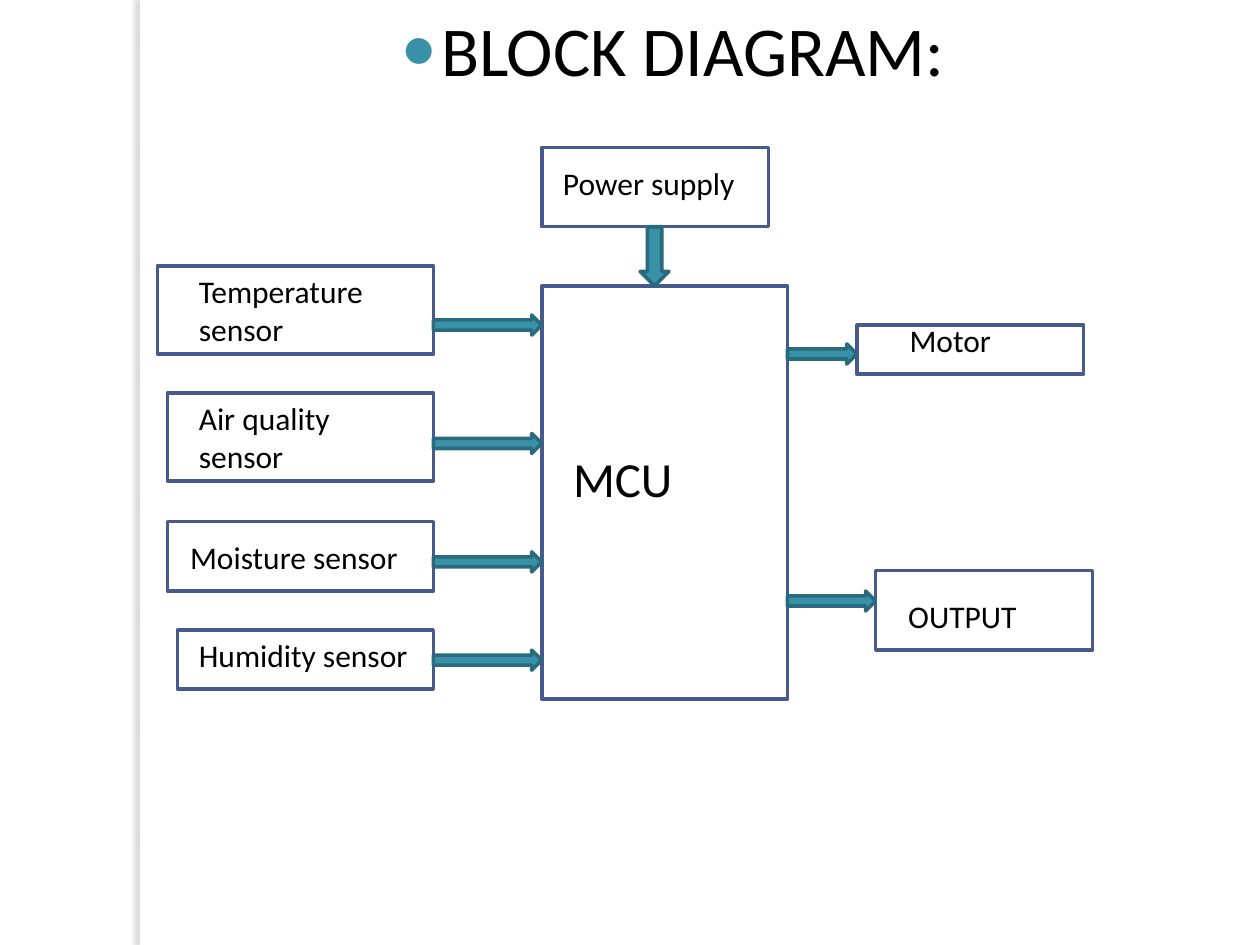
from lxml import etree
from pptx import Presentation
from pptx import util as u
from pptx.dml.color import RGBColor
from pptx.enum import shapes, text
from pptx.oxml import ns

WHITE = RGBColor(0xFF, 0xFF, 0xFF)
BLACK = RGBColor(0, 0, 0)
BOX_LINE = RGBColor(0x47, 0x5A, 0x8D)
TEAL = RGBColor(0x38, 0x91, 0xA7)
DARK_TEAL = RGBColor(0x29, 0x6B, 0x7C)
STRIP_SHADOW = RGBColor(0x73, 0x6F, 0x63)
FONT = "Calibri"
ARROW_THICKNESS = 0.16

# Block: left, top, width, height; label: text, left, top, width, height
SENSORS = [
    ((1.25, 2.11, 2.19, 0.7), ("Temperature sensor", 1.48, 2.11, 1.88, 0.71)),
    ((1.33, 3.12, 2.11, 0.7), ("Air quality sensor", 1.48, 3.12, 1.8, 0.71)),
    ((1.33, 4.14, 2.11, 0.55), ("Moisture sensor", 1.41, 4.22, 1.88, 0.4)),
    ((1.41, 5, 2.03, 0.47), ("Humidity sensor", 1.48, 5, 1.88, 0.4)),
]
OUTPUTS = [
    ((6.8, 2.58, 1.8, 0.39), ("Motor", 7.12, 2.5, 1.39, 0.4)),
    ((6.95, 4.53, 1.72, 0.63), ("OUTPUT", 7.11, 4.69, 1.48, 0.4)),
]
POWER = ((4.3, 1.17, 1.8, 0.63), ("Power supply", 4.37, 1.25, 1.64, 0.4))
CONTROLLER = ((4.3, 2.27, 1.95, 3.28), ("MCU", 4.45, 3.51, 1.56, 0.57))
SENSOR_ARROW_TOPS = [2.5, 3.44, 4.38, 5.16]
OUTPUT_ARROW_TOPS = [2.73, 4.69]


def write_text(frame, content, size=18, color=BLACK):
    """Fill the frame with one formatted paragraph and return it."""
    frame.word_wrap = True
    paragraph = frame.paragraphs[0]
    run = paragraph.add_run()
    run.text = content
    run.font.name = FONT
    run.font.size = u.Pt(size)
    run.font.color.rgb = color
    return paragraph


def add_element(parent, tag, **attributes):
    return etree.SubElement(parent, ns.qn(tag), attributes)


class BlockDiagram:
    def __init__(self, slide):
        self.slide = slide

    def shape(self, kind, bounds, fill, line=None):
        shape = self.slide.shapes.add_shape(kind, *map(u.Inches, bounds))
        shape.shadow.inherit = False
        shape.fill.solid()
        shape.fill.fore_color.rgb = fill
        if line is None:
            shape.line.fill.background()
        else:
            shape.line.color.rgb = line
            shape.line.width = u.Pt(2)
        return shape

    def side_strip(self):
        strip = self.shape(shapes.MSO_SHAPE.RECTANGLE, (1.11, 0, 0.08, 7.5), WHITE)
        effects = strip.element.spPr.find(ns.qn("a:effectLst"))
        shadow = add_element(effects, "a:outerShdw", blurRad=str(u.Pt(3)),
                             dist=str(u.Pt(3)), dir="10800000", algn="tl",
                             rotWithShape="0")
        color = add_element(shadow, "a:srgbClr", val=str(STRIP_SHADOW))
        add_element(color, "a:alpha", val="25000")

    def heading(self, content):
        """Put a bulleted heading in the body placeholder."""
        title = self.slide.shapes.title
        title.element.getparent().remove(title.element)
        body = self.slide.placeholders[1]
        body.left, body.top, body.width, body.height = map(u.Inches, (3, 0, 7, 1.1))
        paragraph = write_text(body.text_frame, content, size=40)
        body.text_frame.auto_size = text.MSO_AUTO_SIZE.NONE
        paragraph.space_before = u.Pt(6)
        properties = paragraph._p.get_or_add_pPr()
        properties.set("marL", str(u.Inches(0.4)))
        properties.set("indent", str(u.Inches(-0.31)))
        color = add_element(properties, "a:buClr")
        add_element(color, "a:srgbClr", val=str(TEAL))
        add_element(properties, "a:buSzPct", val="80000")
        add_element(properties, "a:buFont", typeface=FONT)
        add_element(properties, "a:buChar", char="●")

    def block(self, bounds, label, size=18):
        self.shape(shapes.MSO_SHAPE.RECTANGLE, bounds, WHITE, BOX_LINE)
        content, *label_bounds = label
        box = self.slide.shapes.add_textbox(*map(u.Inches, label_bounds))
        write_text(box.text_frame, content, size=size)

    def right_arrow(self, start, end, top):
        self.shape(shapes.MSO_SHAPE.RIGHT_ARROW,
                   (start, top, end - start, ARROW_THICKNESS), TEAL, DARK_TEAL)

    def down_arrow(self, bounds):
        self.shape(shapes.MSO_SHAPE.DOWN_ARROW, bounds, TEAL, DARK_TEAL)


def main():
    presentation = Presentation()
    presentation.slide_width = u.Inches(10)
    presentation.slide_height = u.Inches(7.5)
    slide = presentation.slides.add_slide(presentation.slide_layouts[1])
    diagram = BlockDiagram(slide)

    diagram.side_strip()
    diagram.heading("BLOCK DIAGRAM:")
    diagram.block(*CONTROLLER, size=28)
    for bounds, label in [POWER, *SENSORS, *OUTPUTS]:
        diagram.block(bounds, label)

    controller_left, _, controller_width, _ = CONTROLLER[0]
    for (bounds, _), top in zip(SENSORS, SENSOR_ARROW_TOPS):
        diagram.right_arrow(bounds[0] + bounds[2], controller_left, top)
    diagram.down_arrow((5.08, 1.8, 0.23, 0.47))
    for (bounds, _), top in zip(OUTPUTS, OUTPUT_ARROW_TOPS):
        diagram.right_arrow(controller_left + controller_width, bounds[0], top)

    presentation.save("out.pptx")


if __name__ == "__main__":
    main()
